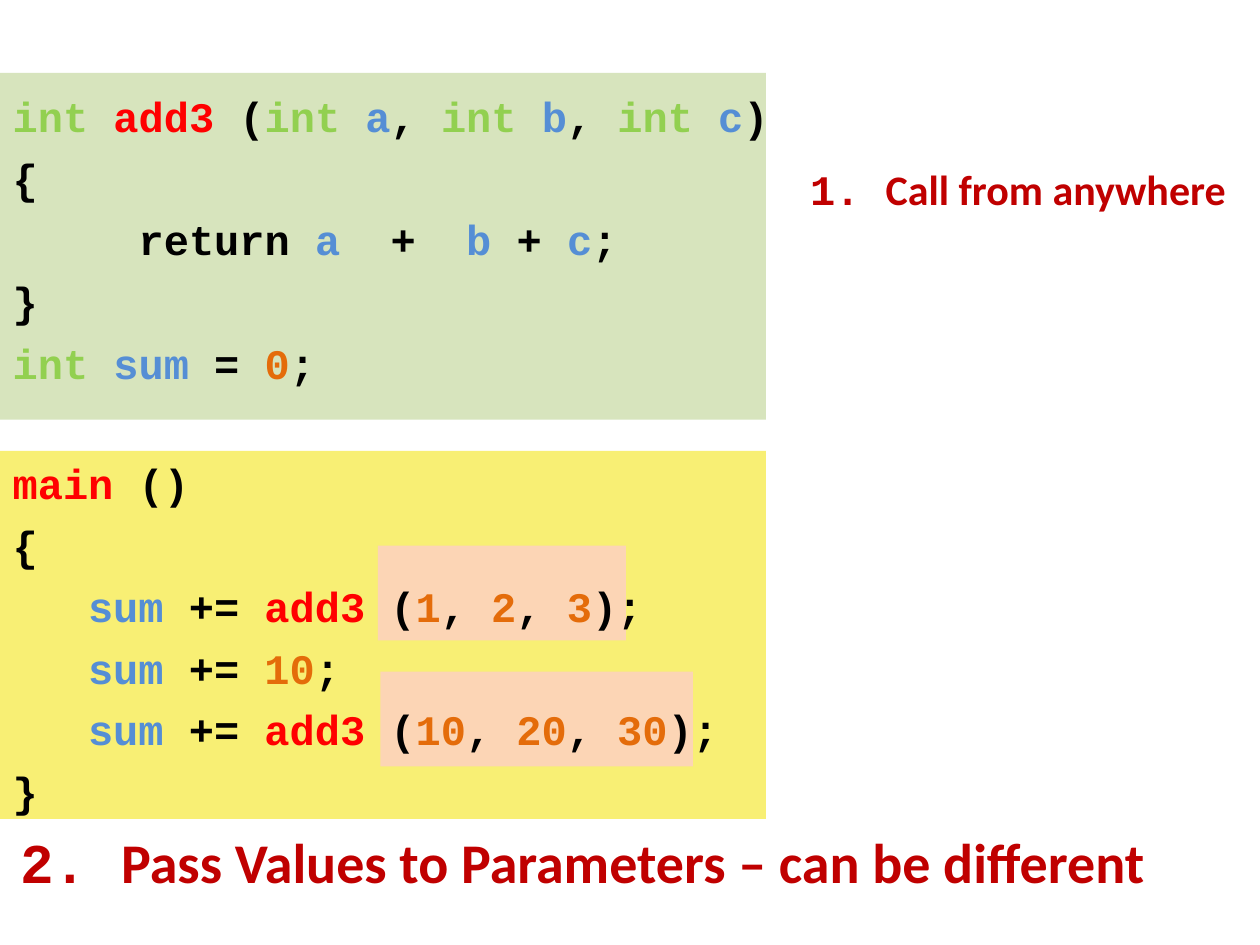
from typing import NamedTuple

from lxml.etree import SubElement
from pptx import Presentation
from pptx.dml.color import RGBColor
from pptx.enum.shapes import MSO_SHAPE
from pptx.enum.text import MSO_ANCHOR, MSO_AUTO_SIZE, PP_ALIGN
from pptx.oxml.ns import qn
from pptx.util import Cm, Pt

MONO, SANS = "Courier New", "Calibri"
BLACK, CRIMSON = "000000", "C00000"
TYPE, FUNCTION, VARIABLE, NUMBER = "92D050", "FF0000", "558ED5", "E46C0A"
TOKEN_COLOURS = {
    "int": TYPE,
    **dict.fromkeys(("add3", "main"), FUNCTION),
    **dict.fromkeys(("a", "b", "c", "sum"), VARIABLE),
}
STEP_INDENT = 1.52  # three Courier characters
RETURN_INDENT = 2.54
LINE_GAP, BLOCK_GAP = 6.4, 40


class Panel(NamedTuple):
    left: float
    top: float
    width: float
    height: float
    fill: str


class CodeLine(NamedTuple):
    """One line of code, its tokens divided by |."""
    tokens: str
    indent: float = 0
    before: float = LINE_GAP


PANELS = [
    Panel(0, 1.47, 15.44, 6.99, "D7E4BD"),
    Panel(-0.02, 9.09, 15.46, 7.42, "F8EF74"),
    Panel(7.62, 11, 5, 1.91, "FCD5B5"),
    Panel(7.67, 13.54, 6.3, 1.91, "FCD5B5"),
]

CODE = [
    CodeLine("int |add3| (|int |a|, |int |b|, |int |c|)"),
    CodeLine("{"),
    CodeLine("return |a|  +  |b |+ |c|;", RETURN_INDENT),
    CodeLine("}"),
    CodeLine("int |sum| = |0|;"),
    CodeLine("main| ()", before=BLOCK_GAP),
    CodeLine("{"),
    CodeLine("sum| += |add3| (|1|, |2|, |3|);", STEP_INDENT),
    CodeLine("sum| += |10|;", STEP_INDENT),
    CodeLine("sum| += |add3| (|10|, |20|, |30|);", STEP_INDENT),
    CodeLine("}"),
]


def rgb(colour: str) -> RGBColor:
    return RGBColor.from_string(colour)


def add_panel(s, panel: Panel) -> None:
    sp = s.shapes.add_shape(MSO_SHAPE.RECTANGLE, *map(Cm, panel[:4]))
    sp.shadow.inherit = False
    sp.fill.solid()
    sp.fill.fore_color.rgb = rgb(panel.fill)
    sp.line.fill.background()


def add_text(p, text: str, *, font: str = MONO, size: float = 24,
             colour: str = BLACK) -> None:
    r = p.add_run()
    r.text = text
    r.font.name = font
    r.font.size = Pt(size)
    r.font.bold = True
    r.font.color.rgb = rgb(colour)


def add_note(p, number: str, text: str, size: float) -> None:
    add_text(p, number, size=size, colour=CRIMSON)
    add_text(p, text, font=SANS, size=size, colour=CRIMSON)


def format_paragraph(p, before: float = LINE_GAP, indent: float = 0) -> None:
    """Set the gap and left margin, and turn the bullet off."""
    p.space_before = Pt(before)
    pPr = p._p.get_or_add_pPr()
    pPr.set("marL", str(Cm(indent)))
    pPr.set("indent", "0")
    SubElement(pPr, qn("a:buNone"))


def add_code_line(p, line: CodeLine) -> None:
    format_paragraph(p, line.before, line.indent)
    for token in line.tokens.split("|"):
        word = token.strip()
        colour = NUMBER if word.isdigit() else TOKEN_COLOURS.get(word, BLACK)
        add_text(p, token, colour=colour)


def fill_body(body) -> None:
    body.left, body.top, body.width, body.height = map(Cm, (0, 1.7, 23.5, 17.35))
    tf = body.text_frame
    tf.word_wrap = True
    tf.auto_size = MSO_AUTO_SIZE.NONE
    tf.vertical_anchor = MSO_ANCHOR.TOP
    for i, line in enumerate(CODE):
        add_code_line(tf.add_paragraph() if i else tf.paragraphs[0], line)
    p = tf.add_paragraph()
    format_paragraph(p)
    p.alignment = PP_ALIGN.CENTER
    add_note(p, "2. ", "Pass Values to Parameters – can be different", 32)


def main() -> None:
    prs = Presentation()
    prs.slide_width, prs.slide_height = Cm(25.4), Cm(19.05)
    s = prs.slides.add_slide(prs.slide_layouts[1])
    title, body = s.placeholders
    s.shapes._spTree.remove(title._element)

    for panel in PANELS:
        add_panel(s, panel)

    fill_body(body)
    s.shapes._spTree.append(body._element)  # code lies above the panels

    note = s.shapes.add_textbox(*map(Cm, (16.08, 3.18, 8.97, 2.31)))
    note.text_frame.word_wrap = False
    add_note(note.text_frame.paragraphs[0], "1. ", "Call from anywhere", 24)

    prs.save("out.pptx")


if __name__ == "__main__":
    main()
